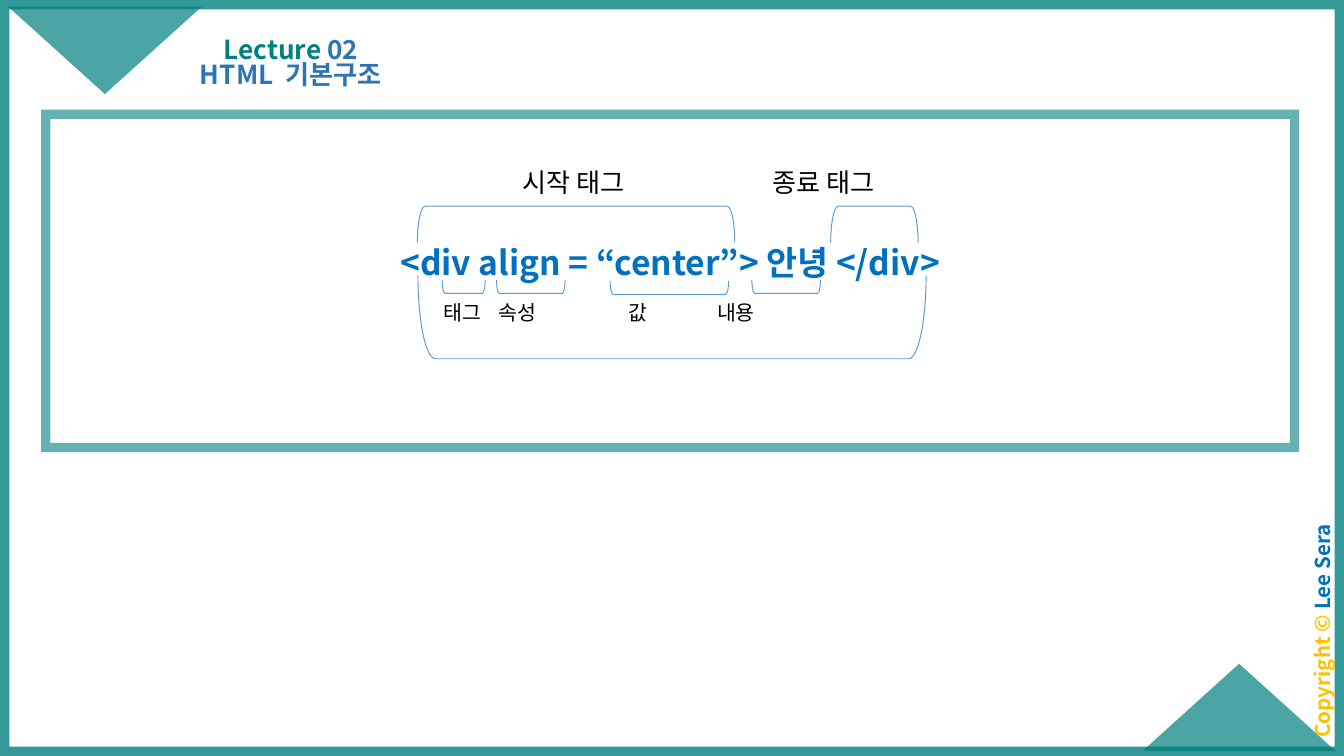
"""Build the lecture slide on the basic structure of an HTML element."""
import pptx
import pptx.dml.color
import pptx.enum.shapes
import pptx.enum.text
import pptx.oxml
import pptx.util

Pt = pptx.util.Pt
Form = pptx.enum.shapes.MSO_SHAPE
Align = pptx.enum.text.PP_ALIGN
Anchor = pptx.enum.text.MSO_ANCHOR
NS = 'xmlns:a="http://schemas.openxmlformats.org/drawingml/2006/main"'


def paint(fill, tone, alpha=100):
    fill.solid()
    fill.fore_color.rgb = pptx.dml.color.RGBColor.from_string(tone)
    if alpha < 100:
        node = pptx.oxml.parse_xml(f'<a:alpha {NS} val="{alpha * 1000}"/>')
        fill._xPr.find(".//" + pptx.oxml.ns.qn("a:srgbClr")).append(node)


def write(shape, runs, size, bold, frame, para):
    text = shape.text_frame
    line = text.paragraphs[0]
    base = {"auto_size": pptx.enum.text.MSO_AUTO_SIZE.NONE, "word_wrap": True,
            "margin_left": Pt(5), "margin_right": Pt(5),
            "margin_top": Pt(3), "margin_bottom": Pt(3)}
    for item, values in ((text, base | frame), (line, {"alignment": Align.CENTER} | para)):
        for name, value in values.items():
            setattr(item, name, value)
    for words, tone in runs:
        run = line.add_run()
        run.text = words
        look = {"name": "Noto Sans CJK KR", "size": Pt(size), "bold": bold}
        for name, value in look.items():
            setattr(run.font, name, value)
        paint(run.font.fill, tone)
        mark = f'<a:ea {NS} typeface="Noto Sans CJK KR"/>'
        run.font._element.append(pptx.oxml.parse_xml(mark))


deck = pptx.Presentation()
deck.slide_width, deck.slide_height = Pt(720), Pt(405)
slide = deck.slides.add_slide(deck.slide_layouts[0])
shapes = slide.shapes

frames = []
for box, width, alpha in (((0, 0, 720, 405), 10, 80), ((24.5, 61.2, 669, 178.6), 5, 60)):
    frame = shapes.add_shape(Form.RECTANGLE, *map(Pt, box))
    frame.shadow.inherit = False
    frame.fill.background()
    frame.line.width = Pt(width)
    paint(frame.line.fill, "008080", alpha)
    frame.line._ln.append(pptx.oxml.parse_xml(f'<a:miter {NS} lim="800000"/>'))
    frames.append(frame)
write(frames[1], [("<div align = “center”> 안녕 </div>", "0070C0")], 18, True,
      {"vertical_anchor": Anchor.MIDDLE, "margin_bottom": Pt(23)}, {})

for left, top, turn in ((612, 355.6, 0), (4.4, 3.6, 180)):
    wedge = shapes.add_shape(Form.ISOSCELES_TRIANGLE, Pt(left), Pt(top), Pt(103.6), Pt(46.8))
    wedge.shadow.inherit = False
    wedge.rotation = turn
    wedge.line.fill.background()
    paint(wedge.fill, "008080", 70)

braces = (
    (223.6, 110.5, 170, 19.4, 90),
    (445, 110.5, 46.8, 19.4, 90),
    (223.9, 147.6, 272.2, 44.6, 270),
    (236.9, 150, 23, 7.2, 270),
    (266, 150, 36.7, 7.2, 270),
    (326.9, 150.5, 63.4, 7.2, 270),
    (402.8, 150, 36.7, 7.2, 270),
)
for left, top, wide, high, turn in braces:
    shift = (wide - high) / 2
    brace = shapes.add_shape(Form.LEFT_BRACKET, Pt(left + shift), Pt(top - shift),
                             Pt(high), Pt(wide))
    brace.shadow.inherit = False
    brace.rotation = turn
    brace.adjustments[0] = 0.21
    brace.fill.background()
    brace.line.width = Pt(0.5)
    paint(brace.line.fill, "5B9BD5")

labels = (
    ("시작 태그", 307.5, 85.7, 14),
    ("종료 태그", 441.5, 85.7, 14),
    ("태그", 248, 157, 11),
    ("속성", 277.5, 157, 11),
    ("값", 342, 157, 11),
    ("내용", 394.3, 157, 11),
)
for words, mid, top, size in labels:
    label = shapes.add_textbox(Pt(mid - 40), Pt(top), Pt(80), Pt(size + 10))
    write(label, [(words, "000000")], size, False,
          {"word_wrap": False, "margin_top": Pt(3.6)}, {})

credit = shapes.add_textbox(Pt(642.2), Pt(329), Pt(134), Pt(18))
credit.rotation = 270
write(credit, [("Copyright © ", "FFC000"), ("Lee Sera", "0070C0")], 11, True,
      {}, {"line_spacing": 0.9, "space_before": Pt(10)})

heads = (
    (shapes.title, (100.8, 4.3, 110.2, 33.8), Anchor.BOTTOM, 0,
     [("Lecture ", "008080"), ("02", "2E75B6")]),
    (slide.placeholders[1], (79.2, 30.2, 153.4, 24.5), Anchor.TOP, 7.5,
     [("HTML  기본구조", "2E75B6")]),
)
for head, box, anchor, gap, runs in heads:
    for name, value in zip(("left", "top", "width", "height"), box):
        setattr(head, name, Pt(value))
    write(head, runs, 14, True, {"vertical_anchor": anchor},
          {"line_spacing": 0.9, "space_before": Pt(gap)})

deck.save("out.pptx")
